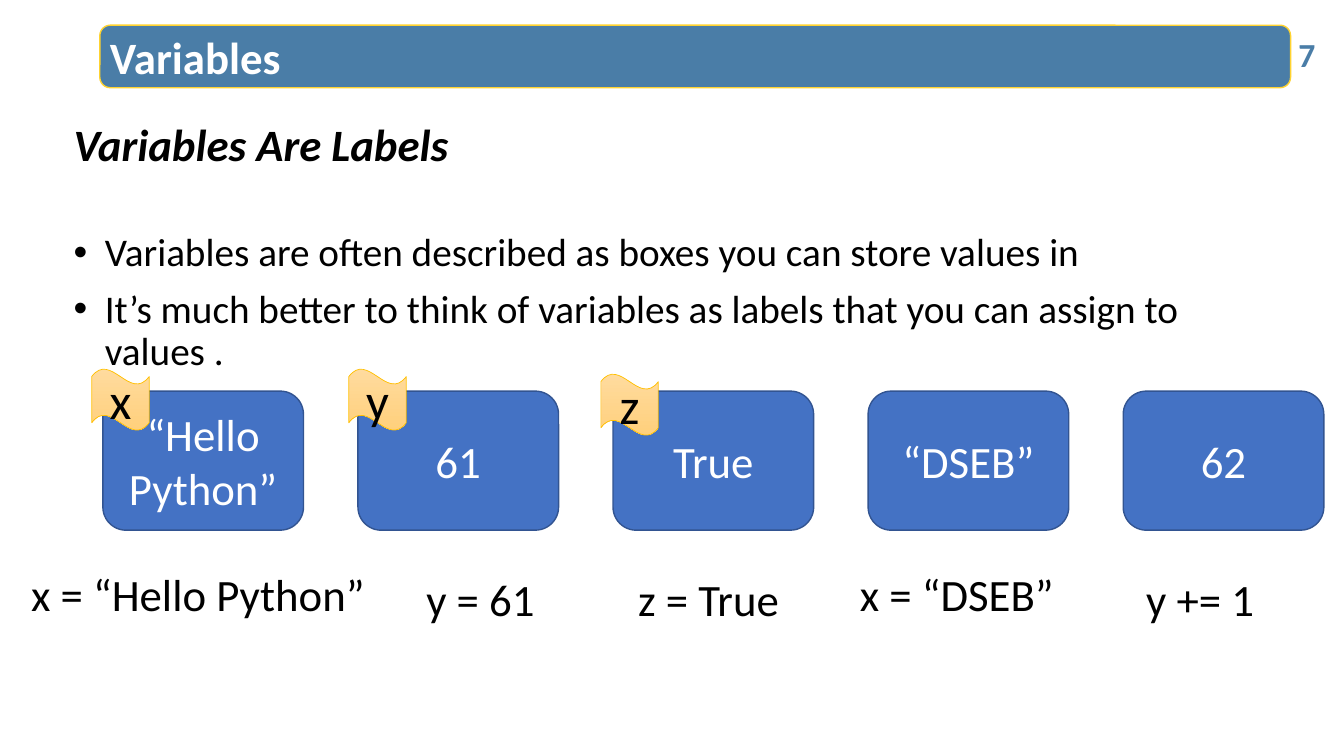
from lxml import etree
from pptx import Presentation
from pptx.dml.color import RGBColor
from pptx.enum.shapes import MSO_SHAPE
from pptx.enum.text import MSO_ANCHOR, MSO_AUTO_SIZE, PP_ALIGN
from pptx.oxml.ns import qn
from pptx.util import Inches, Pt

ROUNDED = MSO_SHAPE.ROUNDED_RECTANGLE
WAVE = MSO_SHAPE.WAVE
MIDDLE, TOP = MSO_ANCHOR.MIDDLE, MSO_ANCHOR.TOP
LEFT, CENTER = PP_ALIGN.LEFT, PP_ALIGN.CENTER
NO_FIT, GROW = MSO_AUTO_SIZE.NONE, MSO_AUTO_SIZE.SHAPE_TO_FIT_TEXT

FONT = "Calibri"
COLORS = {
    "banner": "4A7DA7",
    "banner_line": "FFD330",
    "box": "4472C4",
    "box_line": "325491",
    "flag_top": "FFDB9E",
    "flag_bottom": "FFD07C",
    "flag_line": "FFC000",
    "white": "FFFFFF",
    "black": "000000",
}

HEADING = "Variables Are Labels"
BULLETS = [
    "Variables are often described as boxes you can store values in",
    "It’s much better to think of variables as labels that you can assign to values .",
]
# Value in the box, then the statement with its left, top and width
ASSIGNMENTS = [
    ("“Hello Python”", "x = “Hello Python”", 0.21, 5.57, 3.66),
    ("61", "y = 61", 4.13, 5.62, 1.6),
    ("True", "z = True", 6.23, 5.62, 1.99),
    ("“DSEB”", "x = “DSEB”", 8.43, 5.57, 2.84),
    ("62", "y += 1", 11.27, 5.62, 1.6),
]
FLAGS = [("x", 0.91, 3.66), ("y", 3.46, 3.66), ("z", 5.96, 3.71)]
BOX_LEFT, BOX_TOP, BOX_PITCH = 1.02, 3.88, 2.53


def rgb(name):
    return RGBColor.from_string(COLORS[name])


def place(shape, left, top, width, height):
    values = {"left": left, "top": top, "width": width, "height": height}
    for name, value in values.items():
        setattr(shape, name, Inches(value))


def write(para, text, size, color, align=LEFT, bold=False, italic=False):
    para.alignment = align
    span = para.add_run()
    span.text = text
    formats = {"name": FONT, "size": Pt(size), "bold": bold, "italic": italic}
    for name, value in formats.items():
        setattr(span.font, name, value)
    span.font.color.rgb = rgb(color)


def set_frame(frame, anchor, auto_size):
    formats = {"word_wrap": True, "vertical_anchor": anchor, "auto_size": auto_size}
    for name, value in formats.items():
        setattr(frame, name, value)


def set_bullet(para, bulleted):
    """Give the paragraph a hanging round bullet, or none at all."""
    properties = para._p.get_or_add_pPr()
    indent = Inches(0.31) if bulleted else 0
    properties.set("marL", str(indent))
    properties.set("indent", str(-indent))
    if bulleted:
        etree.SubElement(properties, qn("a:buFont")).set("typeface", "Arial")
        etree.SubElement(properties, qn("a:buChar")).set("char", "•")
    else:
        etree.SubElement(properties, qn("a:buNone"))


def add_panel(page, kind, bounds, fill, line, line_width):
    """Add a preset shape; a pair of fill names makes a vertical gradient."""
    panel = page.shapes.add_shape(kind, *map(Inches, bounds))
    panel.shadow.inherit = False
    if isinstance(fill, tuple):
        panel.fill.gradient()
        panel.fill.gradient_angle = 270
        for stop, name in zip(panel.fill.gradient_stops, fill):
            stop.color.rgb = rgb(name)
    else:
        panel.fill.solid()
        panel.fill.fore_color.rgb = rgb(fill)
    panel.line.color.rgb = rgb(line)
    panel.line.width = Pt(line_width)
    set_frame(panel.text_frame, MIDDLE, NO_FIT)
    return panel


def add_value_box(page, column, value):
    bounds = (BOX_LEFT + column * BOX_PITCH, BOX_TOP, 1.99, 1.38)
    box = add_panel(page, ROUNDED, bounds, "box", "box_line", 1)
    write(box.text_frame.paragraphs[0], value, 32, "white", CENTER)


def add_flag(page, name, left, top):
    fill = ("flag_top", "flag_bottom")
    flag = add_panel(page, WAVE, (left, top, 0.57, 0.61), fill, "flag_line", 0.5)
    write(flag.text_frame.paragraphs[0], name, 36, "black", CENTER)


def add_label(page, text, bounds, size, color, bold=False):
    label = page.shapes.add_textbox(*map(Inches, bounds))
    set_frame(label.text_frame, TOP, GROW)
    write(label.text_frame.paragraphs[0], text, size, color, bold=bold)


def fill_title(page):
    banner = add_panel(page, ROUNDED, (0.99, 0.25, 11.81, 0.62),
                       "banner", "banner_line", 1)
    page.shapes._spTree.insert(2, banner._element)  # behind the title
    title = page.shapes.title
    place(title, 0.99, 0.29, 11.89, 0.6)
    set_frame(title.text_frame, MIDDLE, NO_FIT)
    para = title.text_frame.paragraphs[0]
    para.line_spacing = 0.9
    write(para, "Variables", 32, "white", bold=True)


def fill_body(page):
    body = page.placeholders[1]
    place(body, 0.63, 1.17, 12.16, 3.11)
    frame = body.text_frame
    set_frame(frame, TOP, NO_FIT)
    for index, text in enumerate([HEADING, *BULLETS]):
        is_heading = index == 0
        para = frame.paragraphs[0] if is_heading else frame.add_paragraph()
        para.line_spacing = 0.9
        para.space_before = Pt(10)
        para.space_after = Pt(34 if is_heading else 0)
        set_bullet(para, not is_heading)
        write(para, text, 32 if is_heading else 28, "black",
              bold=is_heading, italic=is_heading)


def main():
    deck = Presentation()
    deck.slide_width, deck.slide_height = Inches(13.33), Inches(7.5)
    page = deck.slides.add_slide(deck.slide_layouts[1])
    fill_title(page)
    fill_body(page)
    add_label(page, "7", (12.78, 0.29, 0.55, 0.58), 24, "banner", bold=True)
    for column, (value, statement, left, top, width) in enumerate(ASSIGNMENTS):
        add_value_box(page, column, value)
        add_label(page, statement, (left, top, width, 0.64), 32, "black")
    for flag in FLAGS:
        add_flag(page, *flag)
    deck.save("out.pptx")


if __name__ == "__main__":
    main()
